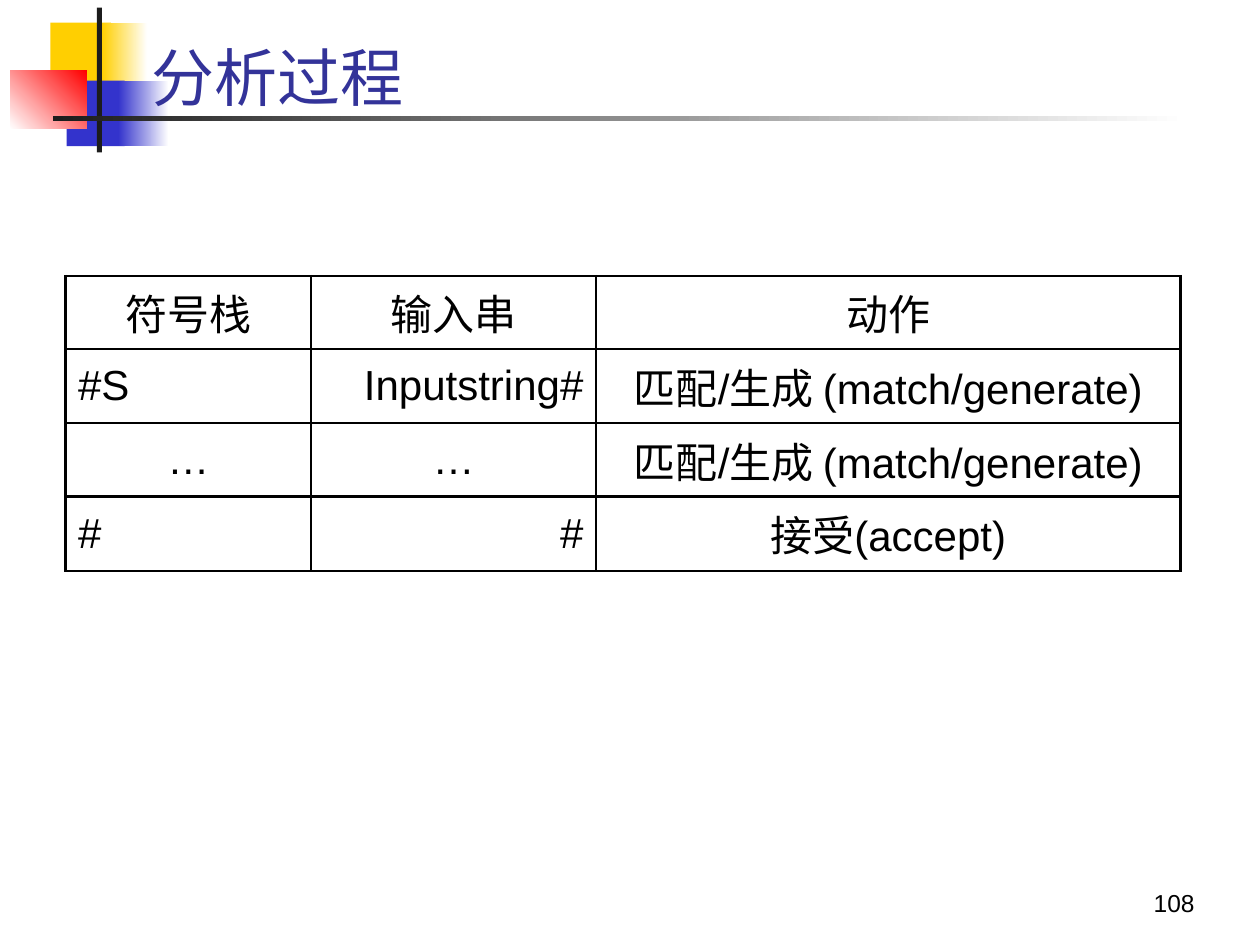
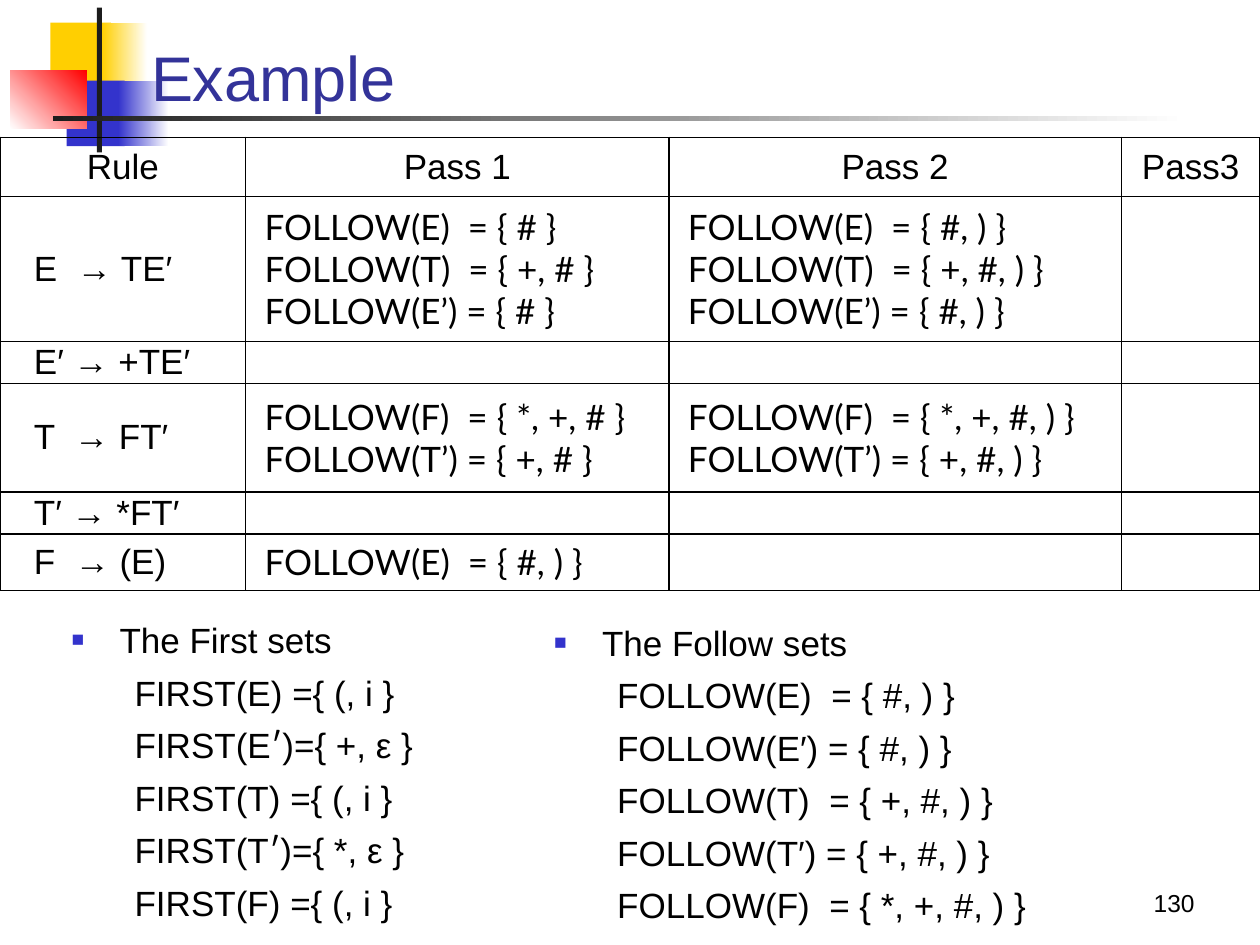
"""Build two lecture slides on predictive parsing: the process and a FOLLOW example."""
import lxml.etree
import pptx
import pptx.dml.color
import pptx.enum.shapes
import pptx.enum.text
import pptx.oxml.ns
import pptx.util

Inches = pptx.util.Inches
Pt = pptx.util.Pt
Align = pptx.enum.text.PP_ALIGN
Anchor = pptx.enum.text.MSO_ANCHOR

COLOURS = {
    "yellow": "FFCF01",
    "blue": "3333CC",
    "red": "FF0000",
    "ink": "1C1C1C",
    "title": "333399",
    "text": "000000",
    "paper": "FFFFFF",
}
MOTIF = [
    ((0.4, 0.18, 0.48, 0.52), ("yellow",), 0),
    ((0.81, 0.18, 0.36, 0.52), ("yellow", "paper"), 0),
    ((0.53, 0.64, 0.46, 0.52), ("blue",), 0),
    ((0.94, 0.64, 0.4, 0.52), ("blue", "paper"), 0),
    ((0.08, 0.56, 0.61, 0.46), ("paper", "red"), 45),
    ((0.77, 0.06, 0.04, 1.15), ("ink",), 0),
    ((0.42, 0.92, 9, 0.04), ("ink", "paper"), 0),
]
TITLE_BOX = (1.1, 0.2, 8.52, 0.76)
NUMBER_BOX = (7.5, 6.83, 2.08, 0.5)


def rgb(name):
    """Return the named colour."""
    return pptx.dml.color.RGBColor.from_string(COLOURS[name])


def add_child(parent, tag, **attributes):
    """Append a DrawingML element to a parent."""
    return lxml.etree.SubElement(parent, pptx.oxml.ns.qn(f"a:{tag}"), attributes)


def write(paragraph, text, size=20, font="Arial", colour="text", align=Align.LEFT,
          margin=0, indent=0, before=0, spacing=None, bullet=False, prime_font=None):
    """Fill a paragraph with formatted text."""
    properties = paragraph._p.get_or_add_pPr()
    properties.set("marL", str(Inches(margin)))
    properties.set("indent", str(Inches(indent)))
    if bullet:
        add_child(add_child(properties, "buClr"), "srgbClr", val=COLOURS["blue"])
        add_child(properties, "buSzPct", val="60000")
        add_child(properties, "buFont", typeface="Arial")
        add_child(properties, "buChar", char="■")
    paragraph.alignment = align
    paragraph.space_before = Pt(before)
    if spacing:
        paragraph.line_spacing = spacing
    pieces = text.partition("′") if prime_font else (text,)
    for piece in filter(None, pieces):
        run = paragraph.add_run()
        run.text = piece
        run.font.size = Pt(size)
        run.font.name = prime_font if prime_font and piece == "′" else font
        run.font.color.rgb = rgb(colour)


def write_lines(frame, lines, **text_format):
    """Write one paragraph per line in a text frame."""
    for index, line in enumerate(lines):
        paragraph = frame.add_paragraph() if index else frame.paragraphs[0]
        write(paragraph, line, **text_format)


def add_text_frame(slide, box, anchor=Anchor.TOP):
    """Add a wrapping text box and return its frame."""
    frame = slide.shapes.add_textbox(*map(Inches, box)).text_frame
    frame.word_wrap = True
    frame.vertical_anchor = anchor
    return frame


def add_motif(slide):
    """Draw the coloured squares and the two rules beside the title."""
    for box, tones, angle in MOTIF:
        block = slide.shapes.add_shape(
            pptx.enum.shapes.MSO_SHAPE.RECTANGLE, *map(Inches, box))
        block.shadow.inherit = False
        block.line.fill.background()
        if len(tones) == 1:
            block.fill.solid()
            block.fill.fore_color.rgb = rgb(tones[0])
            continue
        block.fill.gradient()
        block.fill.gradient_angle = angle
        for stop, tone, position in zip(block.fill.gradient_stops, tones, (0, 1)):
            stop.color.rgb = rgb(tone)
            stop.position = position


def add_lecture_slide(deck, title, number):
    """Add a slide with the shared motif, title and slide number."""
    slide = deck.slides.add_slide(deck.slide_layouts[6])
    add_motif(slide)
    write_lines(add_text_frame(slide, TITLE_BOX, Anchor.BOTTOM), [title],
                size=36, colour="title", spacing=0.85)
    write_lines(add_text_frame(slide, NUMBER_BOX, Anchor.BOTTOM), [number],
                size=14, align=Align.RIGHT)
    return slide


def outline_cell(cell, width):
    """Draw all four borders of a cell."""
    properties = cell._tc.get_or_add_tcPr()
    for position, side in enumerate(("lnL", "lnR", "lnT", "lnB")):
        border = add_child(properties, side, w=str(Pt(width)))
        add_child(add_child(border, "solidFill"), "srgbClr", val=COLOURS["text"])
        properties.insert(position, border)


def add_grid(slide, box, columns, rows, border, insets=(0.1, 0.05)):
    """Add an unfilled ruled table of the given column widths and row heights."""
    grid = slide.shapes.add_table(len(rows), len(columns), *map(Inches, box))
    table = grid.table
    table.first_row = table.horz_banding = False
    for column, width in zip(table.columns, columns):
        column.width = Inches(width)
    for row, height in zip(table.rows, rows):
        row.height = Inches(height)
    grid.height = Inches(box[3])
    for cell in table.iter_cells():
        cell.fill.background()
        cell.vertical_anchor = Anchor.MIDDLE
        cell.margin_left = cell.margin_right = Inches(insets[0])
        cell.margin_top = cell.margin_bottom = Inches(insets[1])
        outline_cell(cell, border)
    return table


def add_process_table(slide, box):
    """Add the table of stack, input and action."""
    steps = [
        ("符号栈", "输入串", "动作"),
        ("#S", "Inputstring#", "匹配/生成 (match/generate)"),
        ("…", "…", "匹配/生成 (match/generate)"),
        ("#", "#", "接受(accept)"),
    ]
    table = add_grid(slide, box, (1.95, 2.26, 4.64), (0.58, 0.59) * 2, 1.5)
    for row, step in enumerate(steps):
        for column, entry in enumerate(step):
            side = (Align.LEFT, Align.RIGHT, Align.CENTER)[column]
            align = side if "#" in entry else Align.CENTER
            write_lines(table.cell(row, column).text_frame, [entry], size=24, align=align)


def follow(symbol, members):
    """Return a FOLLOW set, spaced as in the notation of the lecture."""
    return f"FOLLOW({symbol})".ljust(10 if len(symbol) == 1 else 0) + f" = {{ {members} }}"


def add_pass_table(slide, box):
    """Add the table of FOLLOW sets found for each rule in each pass."""
    passes = [
        ("E  → TE′",
         [follow("E", "#"), follow("T", "+, #"), follow("E’", "#")],
         [follow("E", "#, )"), follow("T", "+, #, )"), follow("E’", "#, )")]),
        ("E′ → +TE′", [], []),
        ("T  → FT′",
         [follow("F", "*, +, #"), follow("T’", "+, #")],
         [follow("F", "*, +, #, )"), follow("T’", "+, #, )")]),
        ("T′ → *FT′", [], []),
        ("F  → (E)", [follow("E", "#, )")], []),
    ]
    table = add_grid(slide, box, (1.95, 3.36, 3.59, 1.1),
                     (0.47, 1.15, 0.33, 0.86, 0.23, 0.45), 1, insets=(0.07, 0))
    for column, heading in enumerate(("Rule", "Pass 1", "Pass 2", "Pass3")):
        write_lines(table.cell(0, column).text_frame, [heading], align=Align.CENTER)
    for row, (rule, *found) in enumerate(passes, start=1):
        write_lines(table.cell(row, 0).text_frame, [rule], indent=0.2)
        for column, sets in enumerate(found, start=1):
            write_lines(table.cell(row, column).text_frame, sets,
                        font="Lato", indent=0.08, align=Align.JUSTIFY)


def add_set_list(slide, box, heading, sets, **set_format):
    """Add a bulleted heading with its sets below."""
    frame = add_text_frame(slide, box)
    write(frame.paragraphs[0], heading, margin=0.38, indent=-0.38, bullet=True)
    for entry in sets:
        write(frame.add_paragraph(), entry, indent=0.5, before=6, **set_format)


def build_process_slide(deck):
    """Build the slide on the parsing process."""
    slide = add_lecture_slide(deck, "分析过程", "108")
    add_process_table(slide, (0.52, 2.19, 8.85, 2.34))


def build_example_slide(deck):
    """Build the slide with the worked example."""
    slide = add_lecture_slide(deck, "Example", "130")
    add_set_list(slide, (0.47, 4.86, 3.28, 2.64), "The First sets", [
        "FIRST(E) ={ (, i }",
        "FIRST(E′)={ +, ε }",
        "FIRST(T) ={ (, i }",
        "FIRST(T′)={ *, ε }",
        "FIRST(F) ={ (, i }",
    ], prime_font="Lato")
    add_set_list(slide, (4.3, 4.88, 4.14, 2.62), "The Follow sets", [
        follow("E", "#, )"),
        follow("E′", "#, )"),
        follow("T", "+, #, )"),
        follow("T′", "+, #, )"),
        follow("F", "*, +, #, )"),
    ])
    add_pass_table(slide, (0, 1.09, 10, 3.59))


def main():
    """Build and save the deck."""
    deck = pptx.Presentation()
    deck.slide_width, deck.slide_height = Inches(10), Inches(7.5)
    build_process_slide(deck)
    build_example_slide(deck)
    deck.save("out.pptx")


if __name__ == "__main__":
    main()
